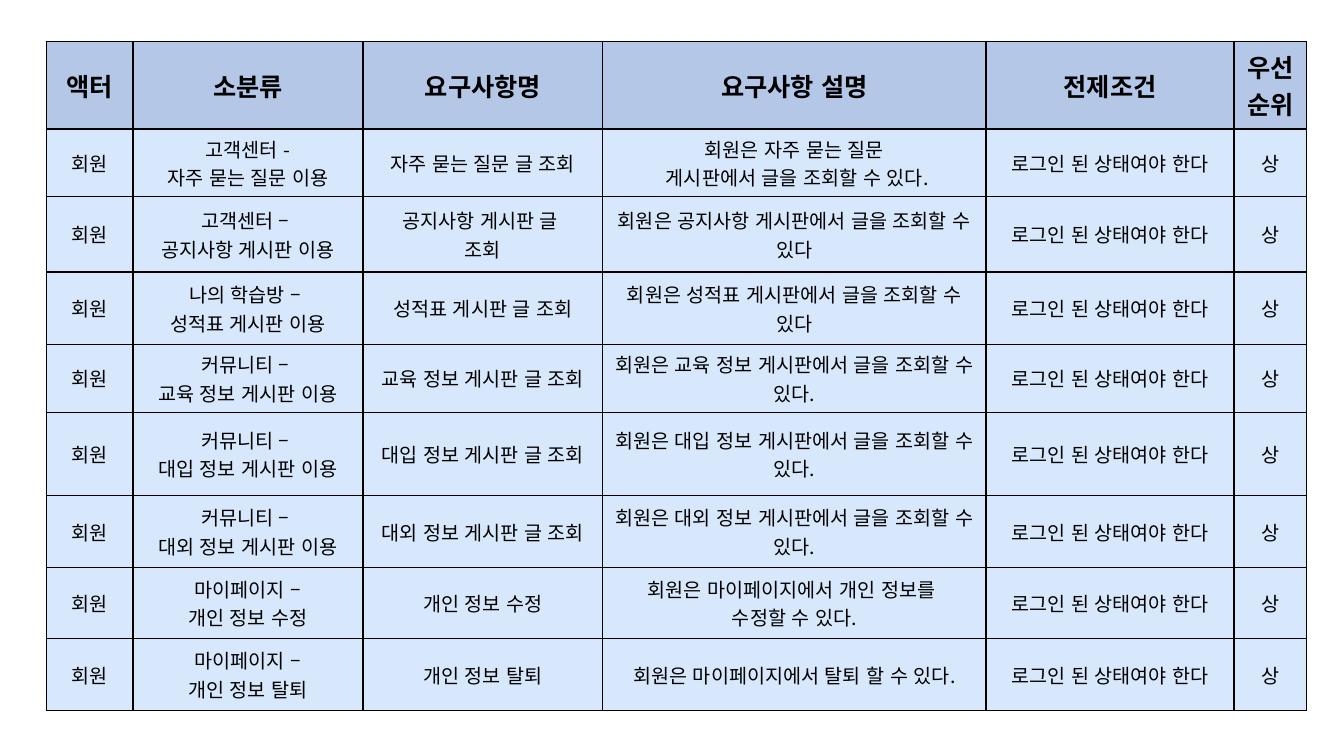
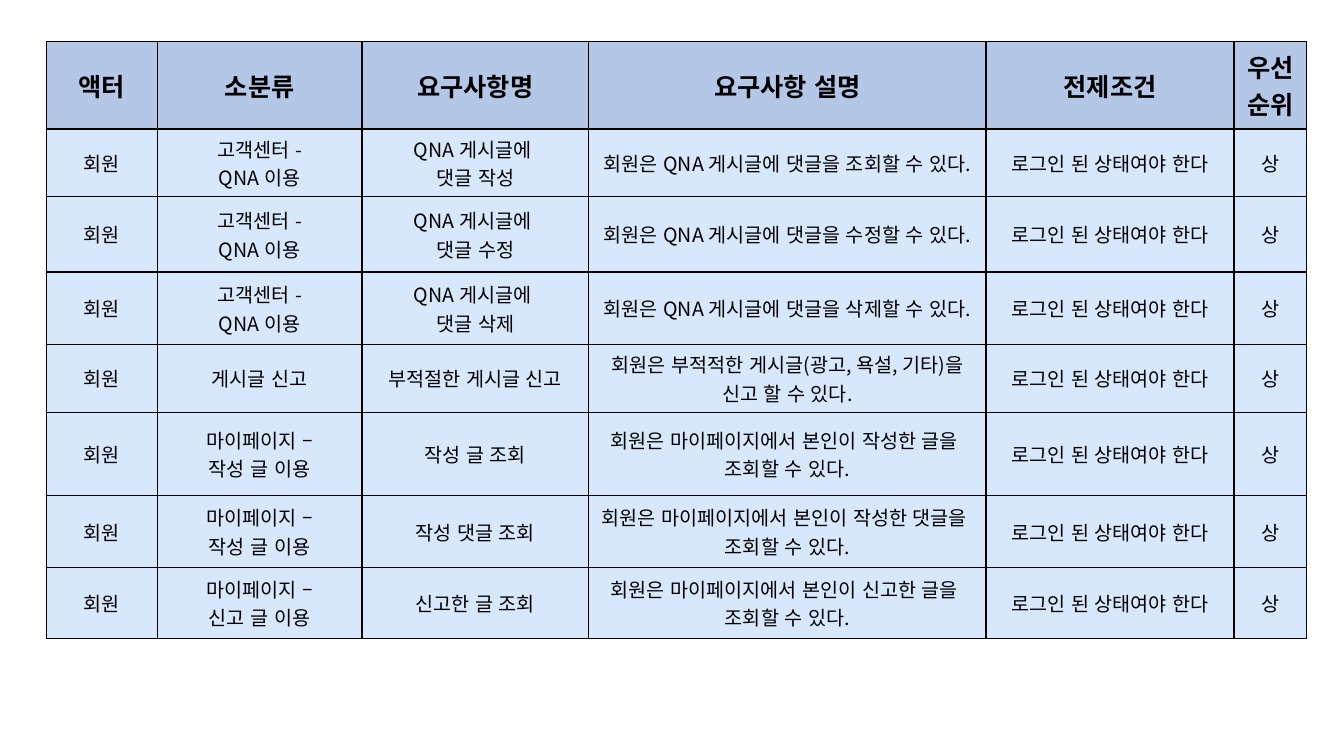
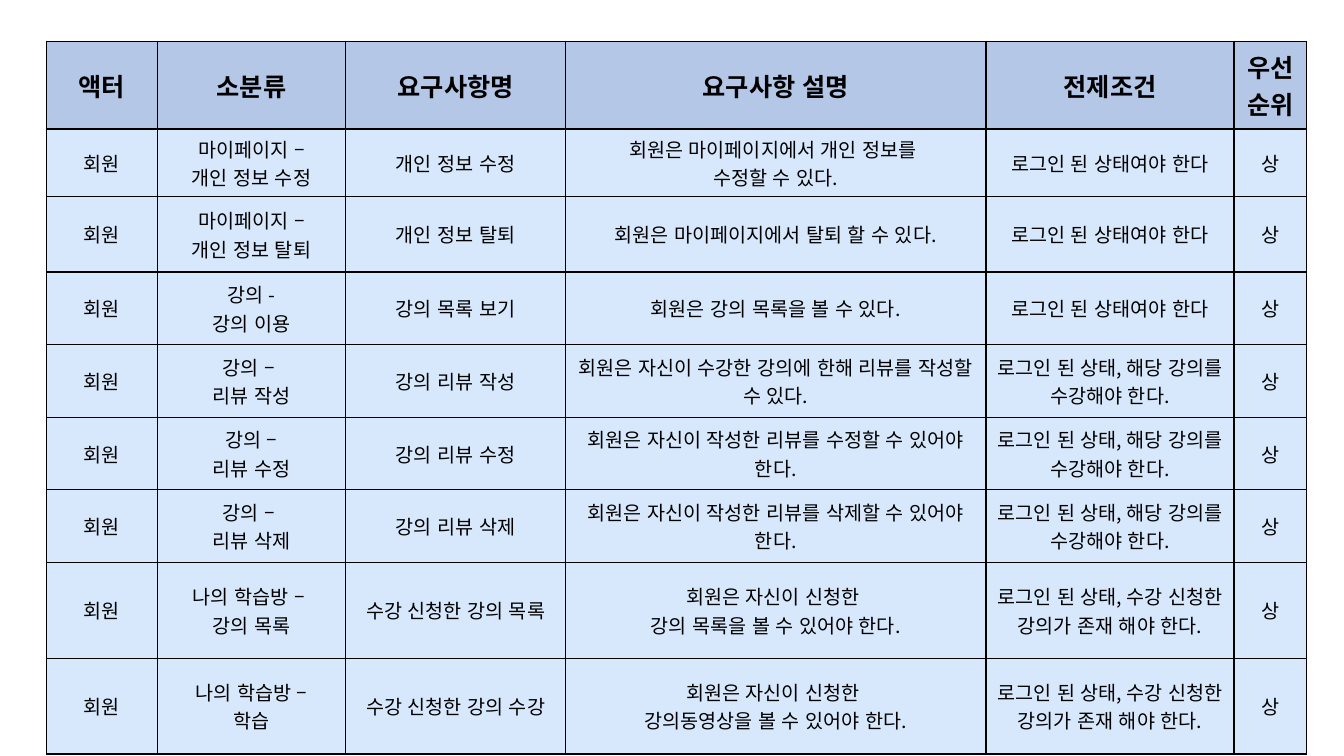
from lxml import etree
from pptx import Presentation
from pptx.dml.color import RGBColor
from pptx.enum.lang import MSO_LANGUAGE_ID
from pptx.enum.text import MSO_ANCHOR, PP_ALIGN
from pptx.oxml.ns import qn
from pptx.util import Inches, Pt

FONT = "Noto Sans CJK KR"
INK, HEADER_FILL, BODY_FILL = "000000", "B4C7E7", "D8E8FC"
HEADER_SIZE, BODY_SIZE, BORDER = 18, 14, 1
LEFT, TOP = 0.46, 0.41

HEADERS = ["액터", "소분류", "요구사항명", "요구사항 설명", "전제조건", "우선순위"]
ACTOR, PRIORITY = "회원", "상"
LOGIN = "로그인 된 상태여야 한다"
TAKEN = "로그인 된 상태, 해당 강의를 수강해야 한다."
ENROLLED = "로그인 된 상태, 수강 신청한 강의가 존재 해야 한다."

# In cell text, \n starts a paragraph and \v breaks a line.
PROFILE = [
    ("마이페이지 –\n개인 정보 수정", "개인 정보 수정",
     "회원은 마이페이지에서 개인 정보를 \v수정할 수 있다.", LOGIN),
    ("마이페이지 –\n개인 정보 탈퇴", "개인 정보 탈퇴",
     "회원은 마이페이지에서 탈퇴 할 수 있다.", LOGIN),
]
BOARDS = [
    ("고객센터 -\n자주 묻는 질문 이용", "자주 묻는 질문 글 조회",
     "회원은 자주 묻는 질문\n 게시판에서 글을 조회할 수 있다.", LOGIN),
    ("고객센터 – \v공지사항 게시판 이용", "공지사항 게시판 글 \n조회",
     "회원은 공지사항 게시판에서 글을 조회할 수 있다", LOGIN),
    ("나의 학습방 – \n성적표 게시판 이용", "성적표 게시판 글 조회",
     "회원은 성적표 게시판에서 글을 조회할 수 있다", LOGIN),
] + [
    (f"커뮤니티 – \v{topic} 정보 게시판 이용", f"{topic} 정보 게시판 글 조회",
     f"회원은 {topic} 정보 게시판에서 글을 조회할 수 있다.", LOGIN)
    for topic in ("교육", "대입", "대외")
]
COMMENTS = [
    ("고객센터 -\nQNA 이용", f"QNA 게시글에 \v댓글 {task}",
     f"회원은 QNA 게시글에 댓글을 {verb}할 수 있다.", LOGIN)
    for task, verb in (("작성", "조회"), ("수정", "수정"), ("삭제", "삭제"))
]
REPORT = [
    ("게시글 신고", "부적절한 게시글 신고",
     "회원은 부적적한 게시글(광고, 욕설, 기타)을 신고 할 수 있다.", LOGIN),
]
MY_POSTS = [
    (f"마이페이지 –\n{group} 글 이용", f"{item} 조회",
     f"회원은 마이페이지에서 본인이 {target}을 \v조회할 수 있다.", LOGIN)
    for group, item, target in (("작성", "작성 글", "작성한 글"),
                                ("작성", "작성 댓글", "작성한 댓글"),
                                ("신고", "신고한 글", "신고한 글"))
]
LECTURES = [
    ("강의 -\n강의 이용", "강의 목록 보기", "회원은 강의 목록을 볼 수 있다.", LOGIN),
    ("강의 – \n리뷰 작성", "강의 리뷰 작성",
     "회원은 자신이 수강한 강의에 한해 리뷰를 작성할 수 있다.", TAKEN),
    ("강의 –\n리뷰 수정", "강의 리뷰 수정",
     "회원은 자신이 작성한 리뷰를 수정할 수 있어야 한다.", TAKEN),
    ("강의 – \n리뷰 삭제", "강의 리뷰 삭제",
     "회원은 자신이 작성한 리뷰를 삭제할 수 있어야 한다.", TAKEN),
    ("나의 학습방 – \n강의 목록", "수강 신청한 강의 목록",
     "회원은 자신이 신청한 \n강의 목록을 볼 수 있어야 한다.", ENROLLED),
    ("나의 학습방 –\n학습", "수강 신청한 강의 수강",
     "회원은 자신이 신청한 \n강의동영상을 볼 수 있어야 한다.", ENROLLED),
]

BOARD_HEIGHTS = [0.87, 0.67, 0.75, 0.72, 0.67, 0.83, 0.71, 0.71, 0.71]
PAGES = [
    (BOARDS + PROFILE, [0.86, 2.28, 2.38, 3.8, 2.46, 0.72], BOARD_HEIGHTS),
    (COMMENTS + REPORT + MY_POSTS, [1.1, 2.03, 2.25, 3.94, 2.46, 0.72],
     BOARD_HEIGHTS[:-1]),
    (PROFILE + LECTURES, [1.1, 1.87, 2.18, 4.17, 2.46, 0.72],
     [0.87, 0.67, 0.75] + [0.72] * 6),
]


def color(hex_string):
    """Turn a hex string into a colour."""
    return RGBColor.from_string(hex_string)


def add_borders(cell):
    """Draw a solid line on all four sides of a cell."""
    properties = cell._tc.get_or_add_tcPr()
    for side in ("a:lnL", "a:lnR", "a:lnT", "a:lnB"):
        line = etree.SubElement(properties, qn(side), w=str(Pt(BORDER)))
        fill = etree.SubElement(line, qn("a:solidFill"))
        etree.SubElement(fill, qn("a:srgbClr"), val=INK)


def style_run(run, size, bold):
    """Set the font of a run for Latin and Korean text."""
    font = run.font
    font.size, font.bold, font.name = Pt(size), bold, FONT
    font.language_id = MSO_LANGUAGE_ID.KOREAN
    font.color.rgb = color(INK)
    etree.SubElement(run._r.get_or_add_rPr(), qn("a:ea"), typeface=FONT)


def fill_cell(cell, text, is_header):
    """Write centred text in a bordered, filled cell."""
    add_borders(cell)
    cell.fill.solid()
    cell.fill.fore_color.rgb = color(HEADER_FILL if is_header else BODY_FILL)
    cell.vertical_anchor = MSO_ANCHOR.MIDDLE
    cell.text_frame.text = text
    for paragraph in cell.text_frame.paragraphs:
        paragraph.alignment = PP_ALIGN.CENTER
        for run in paragraph.runs:
            style_run(run, HEADER_SIZE if is_header else BODY_SIZE, is_header)


def add_requirements(slide, left, top, requirements, widths, heights):
    """Place a requirements table with its header row."""
    rows = [HEADERS] + [[ACTOR, *entry, PRIORITY] for entry in requirements]
    table = slide.shapes.add_table(
        len(rows), len(widths), Inches(left), Inches(top),
        Inches(sum(widths)), Inches(sum(heights))).table
    table.first_row = table.horz_banding = False
    for column, width in zip(table.columns, widths):
        column.width = Inches(width)
    for r, (texts, height) in enumerate(zip(rows, heights)):
        table.rows[r].height = Inches(height)
        for c, text in enumerate(texts):
            fill_cell(table.cell(r, c), text, is_header=r == 0)


def main():
    """Build one slide per requirements page."""
    deck = Presentation()
    deck.slide_width, deck.slide_height = Inches(13.33), Inches(7.5)
    for requirements, widths, heights in PAGES:
        slide = deck.slides.add_slide(deck.slide_layouts[6])
        add_requirements(slide, LEFT, TOP, requirements, widths, heights)
    deck.save("out.pptx")


main()
